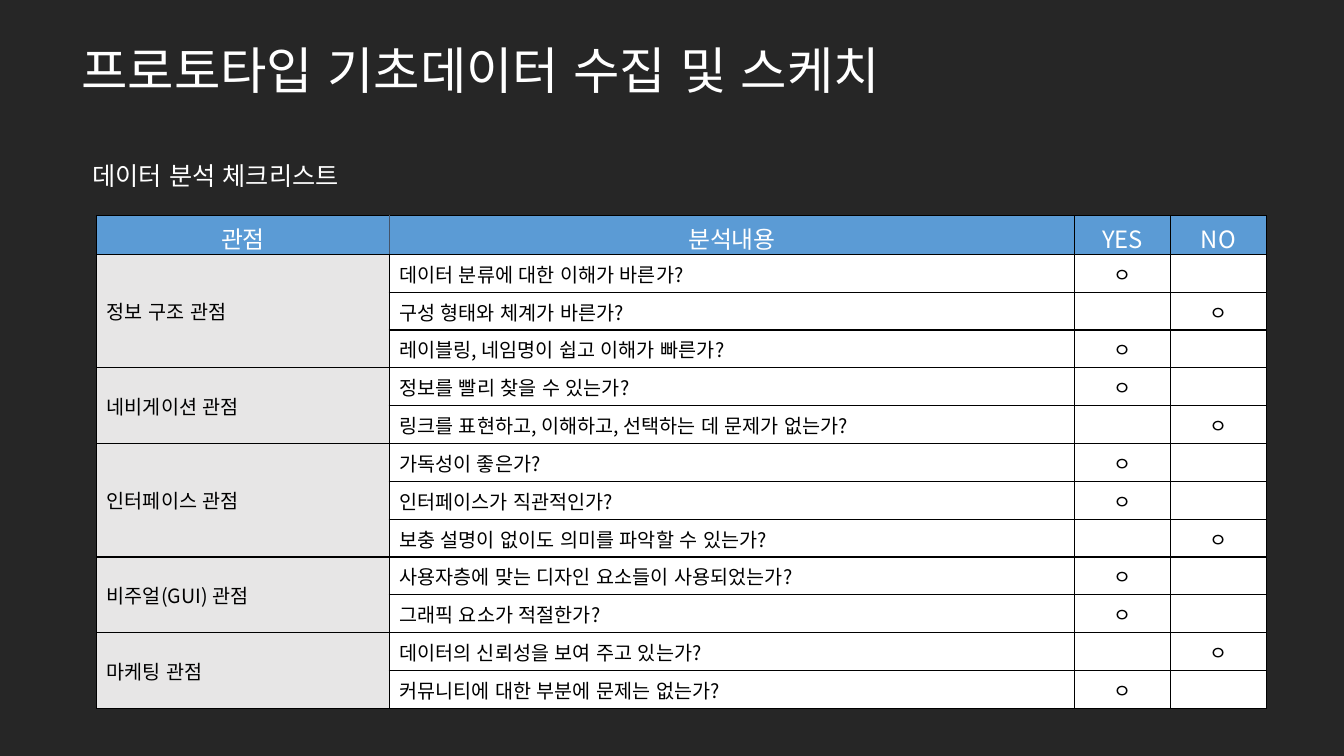
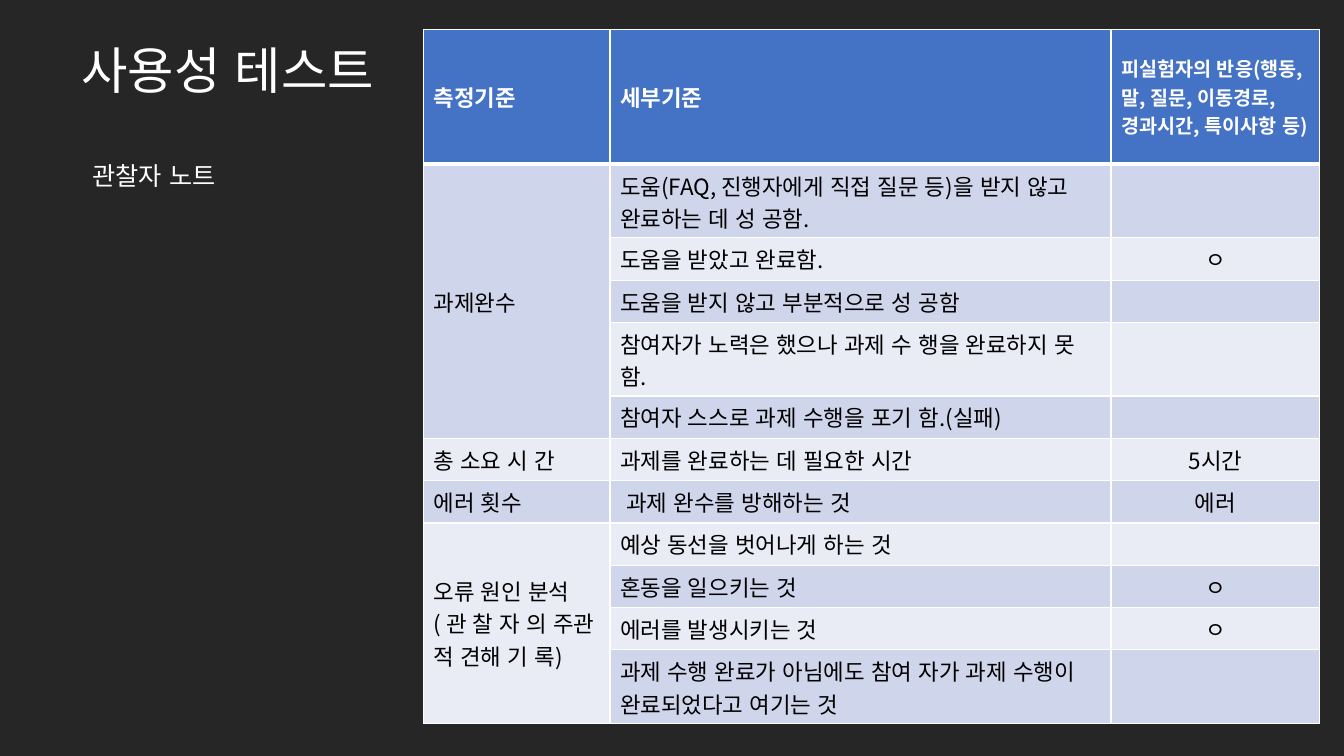
from lxml.etree import SubElement
from pptx import Presentation
from pptx.dml.color import RGBColor
from pptx.enum.lang import MSO_LANGUAGE_ID
from pptx.enum.text import MSO_ANCHOR, MSO_AUTO_SIZE, PP_ALIGN
from pptx.oxml.ns import qn
from pptx.util import Inches, Pt

FONT = "Noto Sans CJK KR"
BACKGROUND, WHITE, BLACK = "262626", "FFFFFF", "000000"
CHECK_HEADER, CHECK_LABEL, CHECK_DIVIDER = "5B9BD5", "E7E6E6", "44546A"
NOTE_HEADER, NOTE_BANDS = "4472C4", ("CFD5EA", "E9EBF5")
MARK = "ㅇ"

CHECKLIST = [
    ("정보 구조 관점", [
        ("데이터 분류에 대한 이해가 바른가?", True),
        ("구성 형태와 체계가 바른가?", False),
        ("레이블링, 네임명이 쉽고 이해가 빠른가?", True)]),
    ("네비게이션 관점", [
        ("정보를 빨리 찾을 수 있는가?", True),
        ("링크를 표현하고, 이해하고, 선택하는 데 문제가 없는가?", False)]),
    ("인터페이스 관점", [
        ("가독성이 좋은가?", True),
        ("인터페이스가 직관적인가?", True),
        ("보충 설명이 없이도 의미를 파악할 수 있는가?", False)]),
    ("비주얼(GUI) 관점", [
        ("사용자층에 맞는 디자인 요소들이 사용되었는가?", True),
        ("그래픽 요소가 적절한가?", True)]),
    ("마케팅 관점", [
        ("데이터의 신뢰성을 보여 주고 있는가?", False),
        ("커뮤니티에 대한 부분에 문제는 없는가?", True)]),
]

NOTE_HEADINGS = [
    ("측정기준", 16),
    ("세부기준", 16),
    ("피실험자의 반응(행동, 말, 질문, 이동경로, 경과시간, 특이사항 등)", 14),
]

OBSERVATIONS = [
    ("과제완수", [
        ("도움(FAQ, 진행자에게 직접 질문 등)을 받지 않고 완료하는 데 성 공함.", ""),
        ("도움을 받았고 완료함.", MARK),
        ("도움을 받지 않고 부분적으로 성 공함", ""),
        ("참여자가 노력은 했으나 과제 수 행을 완료하지 못함.", ""),
        ("참여자 스스로 과제 수행을 포기 함.(실패)", "")]),
    ("총 소요 시 간", [("과제를 완료하는 데 필요한 시간", "5시간")]),
    ("에러 횟수", [(" 과제 완수를 방해하는 것", "에러")]),
    ("오류 원인 분석 ( 관 찰 자 의 주관 적 견해 기 록)", [
        ("예상 동선을 벗어나게 하는 것", ""),
        ("혼동을 일으키는 것", MARK),
        ("에러를 발생시키는 것", MARK),
        ("과제 수행 완료가 아님에도 참여 자가 과제 수행이 완료되었다고 여기는 것", "")]),
]


def rgb(value):
    """Turn a hex string into a colour."""
    return RGBColor.from_string(value)


def write_text(frame, text, size, color=WHITE, bold=False, align=PP_ALIGN.LEFT):
    """Write one formatted paragraph into a text frame."""
    paragraph = frame.paragraphs[0]
    paragraph.alignment = align
    paragraph._p.get_or_add_pPr().set("hangingPunct", "0")
    if not text:
        SubElement(paragraph._p, qn("a:endParaRPr"), sz=str(size * 100))
        return
    run = paragraph.add_run()
    run.text = text
    font = run.font
    font.size, font.bold, font.name = Pt(size), bold, FONT
    font.language_id = MSO_LANGUAGE_ID.KOREAN
    font.color.rgb = rgb(color)
    SubElement(font._element, qn("a:ea"), typeface=FONT)


def add_text(slide, text, left, top, width, height, wrap=True, **text_format):
    """Add a text box that grows with its text."""
    frame = slide.shapes.add_textbox(
        Inches(left), Inches(top), Inches(width), Inches(height)).text_frame
    frame.word_wrap = wrap
    frame.auto_size = MSO_AUTO_SIZE.SHAPE_TO_FIT_TEXT
    write_text(frame, text, **text_format)


def add_titled_slide(presentation, title, subtitle, subtitle_width):
    """Add a dark slide with its title and subtitle."""
    slide = presentation.slides.add_slide(presentation.slide_layouts[6])
    slide.background.fill.solid()
    slide.background.fill.fore_color.rgb = rgb(BACKGROUND)
    add_text(slide, title, 0.71, 0.34, 12.06, 0.98, size=36)
    add_text(slide, subtitle, 0.82, 1.54, subtitle_width, 0.4, wrap=False, size=18)
    return slide


def add_table(slide, left, top, widths, heights):
    """Add a plain table with the given column widths and row heights."""
    table = slide.shapes.add_table(
        len(heights), len(widths), Inches(left), Inches(top),
        Inches(sum(widths)), Inches(sum(heights))).table
    table.first_row = table.horz_banding = False
    for column, width in zip(table.columns, widths):
        column.width = Inches(width)
    for row, height in zip(table.rows, heights):
        row.height = Inches(height)
    return table


def set_borders(cell, **borders):
    """Draw the L, R, T and B borders, each a colour and a width."""
    properties = cell._tc.get_or_add_tcPr()
    for position, side in enumerate("LRTB"):
        color, width = borders[side]
        line = properties.makeelement(qn(f"a:ln{side}"), {"w": str(Pt(width))})
        fill = SubElement(line, qn("a:solidFill"))
        SubElement(fill, qn("a:srgbClr"), val=color)
        properties.insert(position, line)


def fill_cell(cell, text, fill, borders, **text_format):
    """Give a cell its text, fill and borders."""
    cell.fill.solid()
    cell.fill.fore_color.rgb = rgb(fill)
    cell.vertical_anchor = MSO_ANCHOR.MIDDLE
    set_borders(cell, **borders)
    write_text(cell.text_frame, text, **text_format)


def grouped_rows(groups):
    """Yield row number, group label, group size and row for every row."""
    number = 1
    for label, rows in groups:
        for position, row in enumerate(rows):
            yield number, "" if position else label, len(rows), row
            number += 1


def merge_groups(table, groups):
    """Merge the first column over the rows of each group."""
    for number, label, size, _ in grouped_rows(groups):
        if label and size > 1:
            table.cell(number, 0).merge(table.cell(number + size - 1, 0))


def build_checklist(presentation):
    """Build the slide with the data analysis checklist."""
    slide = add_titled_slide(
        presentation, "프로토타입 기초데이터 수집 및 스케치", "데이터 분석 체크리스트", 2.91)
    table = add_table(slide, 0.96, 2.14, [2.9, 6.8, 0.95, 0.95], [4.88 / 13] * 13)
    borders = dict.fromkeys("LRTB", (BLACK, 1))
    divider = (CHECK_DIVIDER, 0.5)
    header_borders = [borders | {"R": divider}, borders | {"L": divider}, borders, borders]
    for column, text in enumerate(["관점", "분석내용", "YES", "NO"]):
        fill_cell(table.cell(0, column), text, CHECK_HEADER, header_borders[column],
                  size=17, align=PP_ALIGN.CENTER)
    for number, label, _, (question, passed) in grouped_rows(CHECKLIST):
        marks = (MARK, "") if passed else ("", MARK)
        for column, text in enumerate([label, question, *marks]):
            fill_cell(table.cell(number, column), text, WHITE if column else CHECK_LABEL,
                      borders, size=14, color=BLACK,
                      align=PP_ALIGN.CENTER if column > 1 else PP_ALIGN.LEFT)
    merge_groups(table, CHECKLIST)


def build_observer_note(presentation):
    """Build the slide with the observer's note."""
    slide = add_titled_slide(presentation, "사용성 테스트", "관찰자 노트", 1.55)
    tall, low = 0.73, 0.42
    heights = [1.34, tall, low, low, tall, *[low] * 6, tall]
    table = add_table(slide, 4.2, 0.29, [1.85, 4.97, 2.07], heights)
    borders = dict.fromkeys("LRTB", (WHITE, 1))
    thick = (WHITE, 3)
    for column, (text, size) in enumerate(NOTE_HEADINGS):
        fill_cell(table.cell(0, column), text, NOTE_HEADER, borders | {"B": thick},
                  size=size, bold=True)
    for number, label, _, row in grouped_rows(OBSERVATIONS):
        row_borders = borders | {"T": thick} if number == 1 else borders
        for column, text in enumerate([label, *row]):
            fill_cell(table.cell(number, column), text, NOTE_BANDS[(number - 1) % 2],
                      row_borders, size=16, color=BLACK,
                      align=PP_ALIGN.CENTER if column == 2 else PP_ALIGN.LEFT)
    merge_groups(table, OBSERVATIONS)


def main():
    """Build and save the presentation."""
    presentation = Presentation()
    presentation.slide_width, presentation.slide_height = Inches(13.33), Inches(7.5)
    build_checklist(presentation)
    build_observer_note(presentation)
    presentation.save("out.pptx")


if __name__ == "__main__":
    main()
